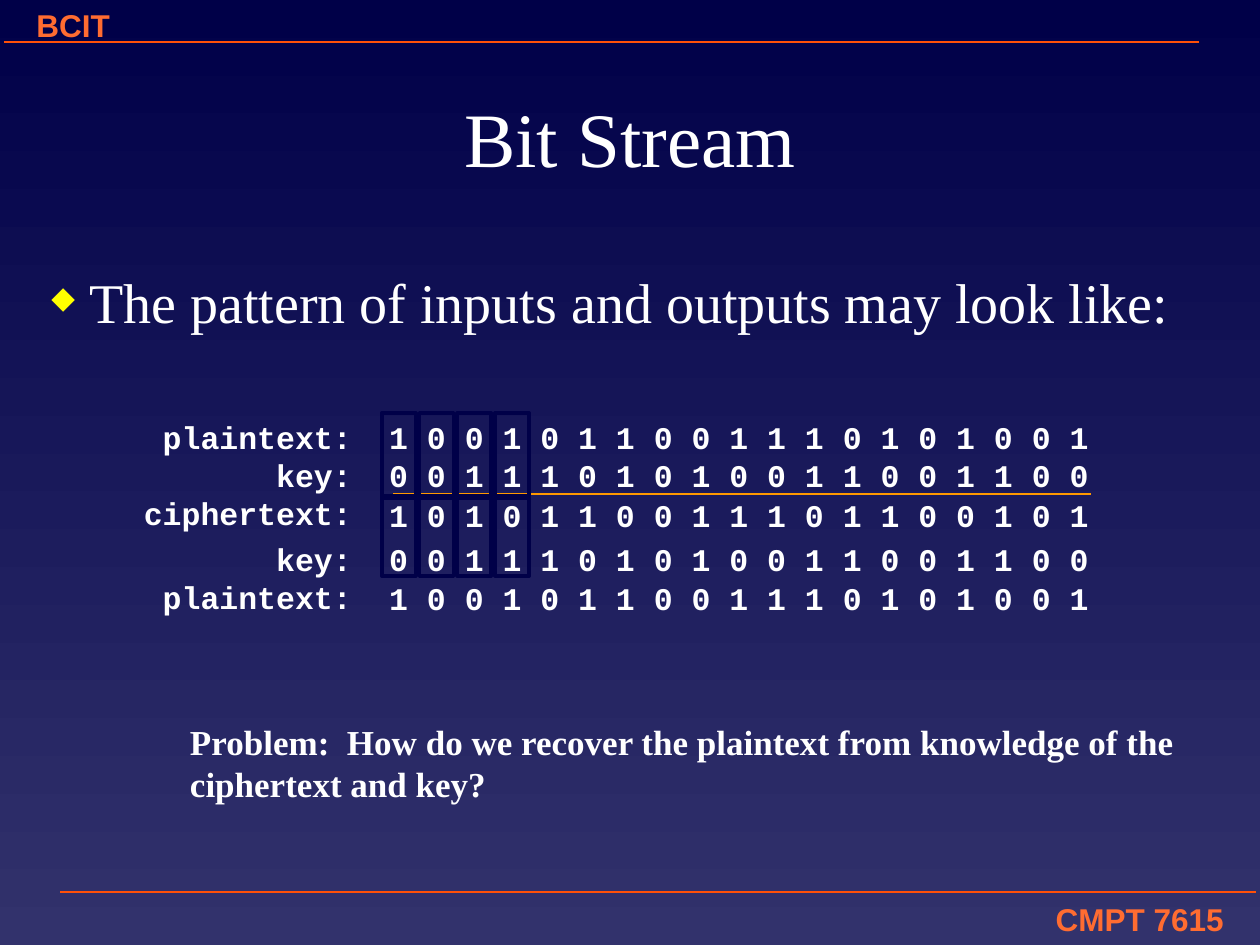
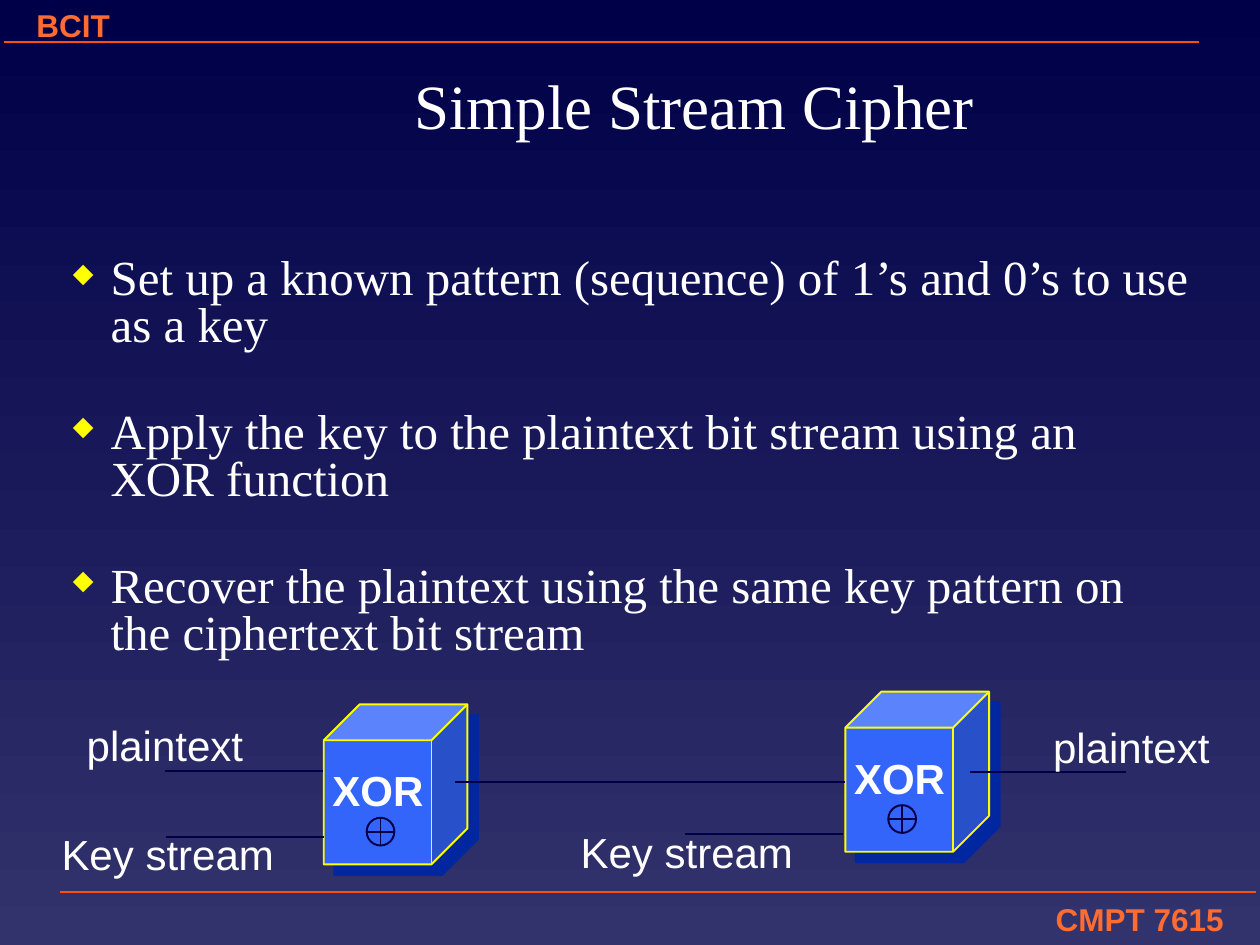
"""Build two slides on stream ciphers."""
from dataclasses import dataclass

from lxml.etree import SubElement
from pptx import Presentation
from pptx.dml.color import RGBColor
from pptx.enum.shapes import MSO_CONNECTOR, MSO_SHAPE
from pptx.enum.text import MSO_ANCHOR, PP_ALIGN
from pptx.oxml.ns import qn
from pptx.presentation import Presentation as Deck
from pptx.shapes.autoshape import Shape
from pptx.slide import Slide
from pptx.util import Inches, Pt


@dataclass(frozen=True)
class Style:
    """Font, size, colour and weight of a text."""
    font: str
    size: float
    color: str = "FFFFFF"
    bold: bool = False


@dataclass(frozen=True)
class Theme:
    """Colours, line width and type styles shared by the slides."""
    navy: str = "000048"
    dusk: str = "32326C"
    rule: str = "FF5008"
    sum_line: str = "FF9900"
    yellow: str = "FFFF00"
    cube: str = "3365FB"
    cube_shadow: str = "00279F"
    thin: float = 1.1
    brand: Style = Style("Arial", 18, "FF6C31", True)
    title: Style = Style("Times New Roman", 44)
    small_title: Style = Style("Times New Roman", 36)
    body: Style = Style("Times New Roman", 32)
    small_body: Style = Style("Times New Roman", 28)
    note: Style = Style("Times New Roman", 20, bold=True)
    code: Style = Style("Courier New", 18, bold=True)
    label: Style = Style("Arial", 24)
    gate: Style = Style("Arial", 24, bold=True)


@dataclass(frozen=True)
class Area:
    """Left, top, width and height in inches."""
    left: float
    top: float
    width: float
    height: float


@dataclass(frozen=True)
class Wire:
    """A straight line between two points in inches."""
    x1: float
    y1: float
    x2: float
    y2: float


@dataclass(frozen=True)
class Label:
    """A text and the area it occupies."""
    text: str
    area: Area


THEME = Theme()
BIT_PITCH = 0.3
FRAMED_BITS = 4
PLAINTEXT = "1 0 0 1 0 1 1 0 0 1 1 1 0 1 0 1 0 0 1"
KEY = "0 0 1 1 1 0 1 0 1 0 0 1 1 0 0 1 1 0 0"
CIPHERTEXT = "1 0 1 0 1 1 0 0 1 1 1 0 1 1 0 0 1 0 1"

BRANDS = (
    (Label("CMPT 7615", Area(5.3, 7.09, 4.51, 0.4)), PP_ALIGN.RIGHT),
    (Label("BCIT", Area(0.19, 0, 4.51, 0.4)), PP_ALIGN.LEFT),
)
RULES = (Wire(9.97, 7.08, 0.48, 7.08), Wire(9.52, 0.33, 0.03, 0.33))

CIPHER_STEPS = (
    "Set up a known pattern (sequence) of 1’s and 0’s to use as a key",
    "Apply the key to the plaintext bit stream using an XOR function",
    "Recover the plaintext using the same key pattern on the ciphertext bit stream",
)
CIPHER_WIRES = (
    Wire(2.56, 6.12, 1.31, 6.12),
    Wire(2.57, 6.64, 1.32, 6.64),
    Wire(3.61, 6.21, 6.71, 6.21),
    Wire(6.69, 6.62, 5.44, 6.62),
    Wire(8.94, 6.13, 7.7, 6.13),
)
CIPHER_LABELS = (
    Label("plaintext", Area(0.59, 5.66, 1.5, 0.5)),
    Label("Key stream", Area(0.39, 6.53, 2, 0.5)),
    Label("Key stream", Area(4.51, 6.51, 2, 0.5)),
    Label("plaintext", Area(8.26, 5.68, 1.5, 0.5)),
)


def add_text(page: Slide, text: str, area: Area, style: Style,
             align: PP_ALIGN = PP_ALIGN.LEFT, wrap: bool = True) -> Shape:
    """Add a text box in one style."""
    box = page.shapes.add_textbox(Inches(area.left), Inches(area.top),
                                  Inches(area.width), Inches(area.height))
    box.text_frame.text = text
    box.text_frame.word_wrap = wrap
    for para in box.text_frame.paragraphs:
        para.alignment = align
        for span in para.runs:
            span.font.name = style.font
            span.font.size = Pt(style.size)
            span.font.bold = style.bold
            span.font.color.rgb = RGBColor.from_string(style.color)
    return box


def add_wire(page: Slide, wire: Wire, color: str) -> None:
    """Add a thin straight line."""
    line = page.shapes.add_connector(MSO_CONNECTOR.STRAIGHT, Inches(wire.x1), Inches(wire.y1),
                                     Inches(wire.x2), Inches(wire.y2))
    line.line.color.rgb = RGBColor.from_string(color)
    line.line.width = Pt(THEME.thin)
    SubElement(line.element.spPr, qn("a:effectLst"))


def add_outline(page: Slide, kind: MSO_SHAPE, area: Area, color: str, width: float) -> Shape:
    """Add an unfilled preset shape."""
    shape = page.shapes.add_shape(kind, Inches(area.left), Inches(area.top),
                                  Inches(area.width), Inches(area.height))
    shape.fill.background()
    shape.line.color.rgb = RGBColor.from_string(color)
    shape.line.width = Pt(width)
    shape.shadow.inherit = False
    return shape


def add_title(page: Slide, text: str, area: Area, style: Style) -> None:
    """Add a centred slide title."""
    box = add_text(page, text, area, style, PP_ALIGN.CENTER)
    box.text_frame.vertical_anchor = MSO_ANCHOR.MIDDLE


def add_bullets(page: Slide, items: tuple[str, ...], area: Area, style: Style,
                spacing: float = 1.0, gap: float = 0) -> None:
    """Add paragraphs with yellow diamond bullets."""
    box = add_text(page, "\n".join(items), area, style)
    for index, para in enumerate(box.text_frame.paragraphs):
        para.line_spacing = spacing
        para.space_before = Pt(gap if index else 0)
        properties = para._p.get_or_add_pPr()
        properties.set("marL", str(Inches(0.38)))
        properties.set("indent", str(-Inches(0.3)))
        color = SubElement(properties, qn("a:buClr"))
        SubElement(color, qn("a:srgbClr"), val=THEME.yellow)
        SubElement(properties, qn("a:buSzPct"), val="55000")
        SubElement(properties, qn("a:buChar"), char="◆")


def add_page(deck: Deck) -> Slide:
    """Add a slide with the gradient, brand texts and rules."""
    page = deck.slides.add_slide(deck.slide_layouts[6])
    fill = page.background.fill
    fill.gradient()
    fill.gradient_angle = 270
    for stop, color in zip(fill.gradient_stops, (THEME.navy, THEME.dusk)):
        stop.color.rgb = RGBColor.from_string(color)
    for label, align in BRANDS:
        add_text(page, label.text, label.area, THEME.brand, align)
    for rule in RULES:
        add_wire(page, rule, THEME.rule)
    return page


def add_bit_frames(page: Slide, top: float, height: float) -> None:
    """Frame the first bit columns."""
    for index in range(FRAMED_BITS):
        area = Area(3.03 + index * BIT_PITCH, top, 0.27, height)
        add_outline(page, MSO_SHAPE.RECTANGLE, area, THEME.navy, 2.25)


def add_result_bits(page: Slide, bits: str, top: float) -> None:
    """Add the framed bits one by one and the remaining bits together."""
    parts = bits.split(" ", FRAMED_BITS)
    for index, part in enumerate(parts):
        area = Area(2.99 + index * BIT_PITCH, top, 0.2 + 0.15 * len(part), 0.4)
        add_text(page, part, area, THEME.code, wrap=False)


def add_labelled_rows(page: Slide, labels: str, bits: str, top: float, height: float) -> None:
    """Add row labels and the bit rows beside them."""
    add_text(page, labels, Area(0.89, top, 2, height), THEME.code, PP_ALIGN.RIGHT)
    add_text(page, bits, Area(2.99, top, 5.75, height), THEME.code, wrap=False)


def add_xor_gate(page: Slide, left: float, top: float) -> None:
    """Add a cube marked with XOR and a circled plus."""
    cube = add_outline(page, MSO_SHAPE.CUBE, Area(left, top, 1.14, 1.27),
                       THEME.yellow, THEME.thin)
    cube.fill.solid()
    cube.fill.fore_color.rgb = RGBColor.from_string(THEME.cube)
    effects = cube.element.spPr.find(qn("a:effectLst"))
    shadow = SubElement(effects, qn("a:outerShdw"), dist=str(Pt(8.5)), dir="2700000",
                        algn="ctr", rotWithShape="0")
    SubElement(shadow, qn("a:srgbClr"), val=THEME.cube_shadow)
    x, y, size = left + 0.34, top + 0.9, 0.22
    middle = size / 2
    add_outline(page, MSO_SHAPE.OVAL, Area(x, y, size, size), THEME.navy, THEME.thin)
    add_wire(page, Wire(x, y + middle, x + size, y + middle), THEME.navy)
    add_wire(page, Wire(x + middle, y, x + middle, y + size), THEME.navy)
    add_text(page, "XOR", Area(left - 0.03, top + 0.43, 0.95, 0.5), THEME.gate, wrap=False)


def build_bit_stream(deck: Deck) -> None:
    """Build the slide with the encrypted and recovered bits."""
    page = add_page(deck)
    add_title(page, "Bit Stream", Area(1.22, 0.42, 7.56, 1.33), THEME.title)
    add_bullets(page, ("The pattern of inputs and outputs may look like:",),
                Area(0.23, 2.07, 9.25, 0.82), THEME.body)
    add_labelled_rows(page, "plaintext:\nkey:\nciphertext:", f"{PLAINTEXT}\n{KEY}", 3.27, 1)
    add_wire(page, Wire(3.12, 3.92, 8.66, 3.92), THEME.sum_line)
    add_bit_frames(page, 3.28, 0.66)
    add_result_bits(page, CIPHERTEXT, 3.89)
    add_text(page, "Problem:  How do we recover the plaintext from knowledge of the "
             "ciphertext and key?", Area(1.41, 5.67, 8.1, 0.77), THEME.note)
    add_labelled_rows(page, "key:\nplaintext:", KEY, 4.24, 0.7)
    add_bit_frames(page, 3.95, 0.62)
    add_result_bits(page, PLAINTEXT, 4.55)


def build_stream_cipher(deck: Deck) -> None:
    """Build the slide with the cipher steps and diagram."""
    page = add_page(deck)
    add_title(page, "Simple Stream Cipher", Area(1.26, 0.2, 8.5, 1.25), THEME.small_title)
    add_bullets(page, CIPHER_STEPS, Area(0.4, 2, 9.14, 3.42), THEME.small_body, 0.8, 34)
    add_xor_gate(page, 2.57, 5.59)
    add_xor_gate(page, 6.71, 5.49)
    for wire in CIPHER_WIRES:
        add_wire(page, wire, THEME.navy)
    for label in CIPHER_LABELS:
        add_text(page, label.text, label.area, THEME.label, wrap=False)


def main() -> None:
    """Build and save the deck."""
    deck = Presentation()
    deck.slide_width = Inches(10)
    deck.slide_height = Inches(7.5)
    build_bit_stream(deck)
    build_stream_cipher(deck)
    deck.save("out.pptx")


if __name__ == "__main__":
    main()
